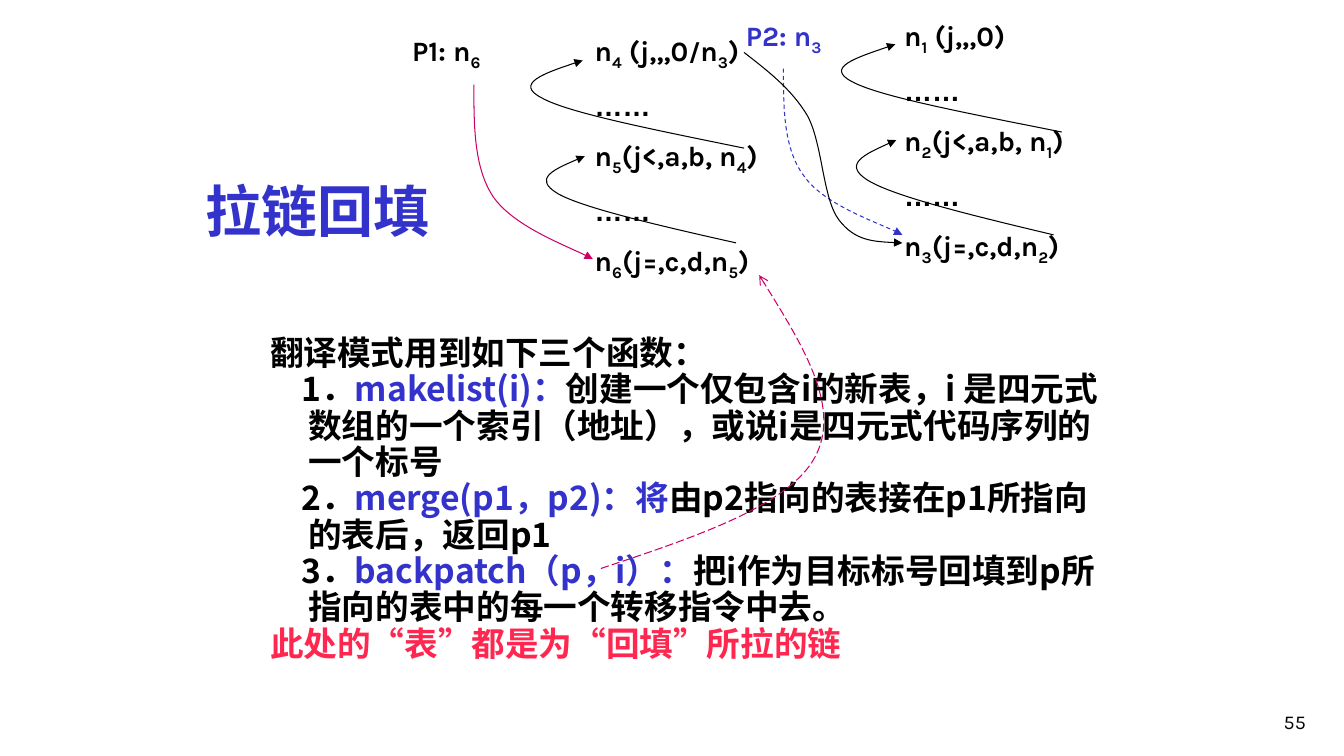
from dataclasses import dataclass

from lxml.etree import SubElement
from pptx import Presentation
from pptx.dml.color import RGBColor
from pptx.enum.dml import MSO_LINE_DASH_STYLE as Dash
from pptx.enum.text import MSO_ANCHOR as Anchor, PP_ALIGN as Align
from pptx.oxml.ns import qn
from pptx.slide import Slide
from pptx.text.text import TextFrame
from pptx.util import Emu, Pt

PX = 9144  # EMU per px, 100 px to the inch
Point = tuple[int, int]


@dataclass(frozen=True)
class Theme:
    black: str = "000000"
    blue: str = "3333CC"
    magenta: str = "CC0066"
    red: str = "FF2750"
    cjk: str = "Noto Sans CJK JP"
    code: str = "Karla"
    dots: str = "Arial"
    title: int = 40
    body: int = 24
    quad: int = 20
    slash: int = 18
    number: int = 14
    body_leading: int = 26
    quad_gap: int = 12
    line: float = 0.75


THEME = Theme()


@dataclass(frozen=True)
class Span:
    text: str
    color: str = THEME.black
    font: str = THEME.cjk
    size: int = THEME.body
    bold: bool = True
    subscript: bool = False


@dataclass(frozen=True)
class Para:
    spans: list[Span]
    first_indent: int = 0
    hanging: int = 0
    before: int = 0
    leading: int | None = None
    align: Align = Align.LEFT


@dataclass(frozen=True)
class Curve:
    """Cubic curve: a start point, then three points for each segment."""
    points: list[Point]
    color: str = THEME.black
    dash: Dash | None = None
    head: str = "triangle"


def add_text(page: Slide, left: int, top: int, width: int, height: int,
             paras: list[Para], anchor: Anchor = Anchor.TOP) -> None:
    box = page.shapes.add_textbox(*(Emu(v * PX) for v in (left, top, width, height)))
    frame: TextFrame = box.text_frame
    frame.word_wrap = True
    frame.vertical_anchor = anchor
    for index, item in enumerate(paras):
        para = frame.add_paragraph() if index else frame.paragraphs[0]
        para.alignment = item.align
        para.space_before = Pt(item.before)
        if item.leading:
            para.line_spacing = Pt(item.leading)
        if item.hanging:
            properties = para._p.get_or_add_pPr()
            properties.set("marL", str(item.hanging * PX))
            properties.set("indent", str((item.first_indent - item.hanging) * PX))
        for span in item.spans:
            run = para.add_run()
            run.text = span.text
            font = run.font
            font.name, font.size, font.bold = span.font, Pt(span.size), span.bold
            font.color.rgb = RGBColor.from_string(span.color)
            SubElement(font._element, qn("a:ea"), typeface=span.font)
            if span.subscript:
                font._element.set("baseline", "-25000")


def quad_spans(text: str, color: str) -> list[Span]:
    """Split a quadruple into spans; the digit after each _ is a subscript."""
    if text == "……":
        return [Span(text, color, THEME.dots, THEME.quad)]
    first, *others = text.split("_")
    spans = [Span(first, color, THEME.code, THEME.quad)]
    for piece in others:
        spans.append(Span(piece[0], color, THEME.code, THEME.quad, subscript=True))
        before, slash, after = piece[1:].partition("/")
        for part, size in ((before, THEME.quad), (slash, THEME.slash), (after, THEME.quad)):
            if part:
                spans.append(Span(part, color, THEME.code, size))
    return spans


def add_quads(page: Slide, left: int, top: int, width: int, height: int,
              lines: list[str], color: str = THEME.black) -> None:
    paras = [Para(quad_spans(line, color), before=THEME.quad_gap if index else 0)
             for index, line in enumerate(lines)]
    add_text(page, left, top, width, height, paras)


def add_curve(page: Slide, curve: Curve) -> None:
    builder = page.shapes.build_freeform(*curve.points[0], scale=PX)
    builder.add_line_segments(curve.points[1:], close=False)
    shape = builder.convert_to_shape()
    shape.shadow.inherit = False
    shape.fill.background()
    shape.line.color.rgb = RGBColor.from_string(curve.color)
    shape.line.width = Pt(THEME.line)
    if curve.dash:
        shape.line.dash_style = curve.dash
    SubElement(shape.line._get_or_add_ln(), qn("a:tailEnd"), type=curve.head)
    # Turn each three straight steps into one cubic segment
    outline = next(shape._element.iter(qn("a:path")))
    steps = outline.findall(qn("a:lnTo"))
    for start in range(0, len(steps), 3):
        bezier = SubElement(outline, qn("a:cubicBezTo"))
        for step in steps[start:start + 3]:
            bezier.append(step[0])
            outline.remove(step)


FUNCTIONS = [
    ("1．", "makelist(i)：",
     "创建一个仅包含i的新表，i 是四元式数组的一个索引（地址），或说i是四元式代码序列的一个标号"),
    ("2．", "merge(p1，p2)：将", "由p2指向的表接在p1所指向的表后，返回p1"),
    ("3．", "backpatch（p，i）：", "把i作为目标标号回填到p所指向的表中的每一个转移指令中去。"),
]

CURVES = [
    # Right chain
    Curve([(777, 68), (777, 107), (777, 147), (797, 174), (816, 202), (877, 223), (895, 233)],
          THEME.blue, Dash.DASH),
    Curve([(1045, 233), (965, 214), (887, 195), (861, 179), (835, 163), (862, 151), (889, 139)]),
    Curve([(1053, 131), (963, 113), (872, 96), (845, 81), (818, 67), (853, 56), (888, 44)]),
    # Left chain
    Curve([(470, 84), (470, 125), (470, 166), (489, 195), (509, 224), (570, 247), (588, 257)],
          THEME.magenta),
    Curve([(730, 241), (654, 224), (577, 206), (553, 192), (528, 177), (554, 166), (580, 155)]),
    Curve([(738, 147), (650, 129), (563, 112), (537, 97), (510, 83), (544, 71), (578, 60)]),
    # Link from the left chain to the right one
    Curve([(738, 52), (761, 70), (785, 88), (801, 115), (816, 143), (816, 197), (832, 218),
           (848, 239), (871, 240), (895, 241)]),
    # From backpatch to the left chain
    Curve([(596, 564), (689, 533), (782, 502), (808, 454), (835, 405), (794, 339), (753, 273)],
          THEME.magenta, Dash.LONG_DASH, "arrow"),
]


def main() -> None:
    deck = Presentation()
    deck.slide_width, deck.slide_height = Emu(1333 * PX), Emu(750 * PX)
    page = deck.slides.add_slide(deck.slide_layouts[6])

    # Title and explanation
    add_text(page, 194, 155, 256, 92,
             [Para([Span("拉链回填", THEME.blue, size=THEME.title)])], Anchor.BOTTOM)
    leading = THEME.body_leading
    body = [Para([Span("翻译模式用到如下三个函数：")], leading=leading)]
    body += [Para([Span(number), Span(name, THEME.blue), Span(meaning)],
                  first_indent=31, hanging=38, leading=leading)
             for number, name, meaning in FUNCTIONS]
    body.append(Para([Span("此处的“表”都是为“回填”所拉的链", THEME.red)], leading=leading))
    add_text(page, 258, 328, 849, 343, body)

    # Chains of quadruples and their head pointers
    add_quads(page, 887, 13, 244, 243,
              ["n_1 (j,,,0)", "……", "n_2(j<,a,b, n_1)", "……", "n_3(j=,c,d,n_2)"])
    add_quads(page, 730, 13, 126, 43, ["P2: n_3"], THEME.blue)
    add_quads(page, 580, 28, 244, 243,
              ["n_4 (j,,,0/n_3)", "……", "n_5(j<,a,b, n_4)", "……", "n_6(j=,c,d,n_5)"])
    add_quads(page, 399, 28, 126, 43, ["P1: n_6"])
    for curve in CURVES:
        add_curve(page, curve)

    # Page number
    number = Span("55", font=THEME.code, size=THEME.number, bold=False)
    add_text(page, 1027, 683, 278, 50, [Para([number], align=Align.RIGHT)], Anchor.BOTTOM)
    deck.save("out.pptx")


if __name__ == "__main__":
    main()
